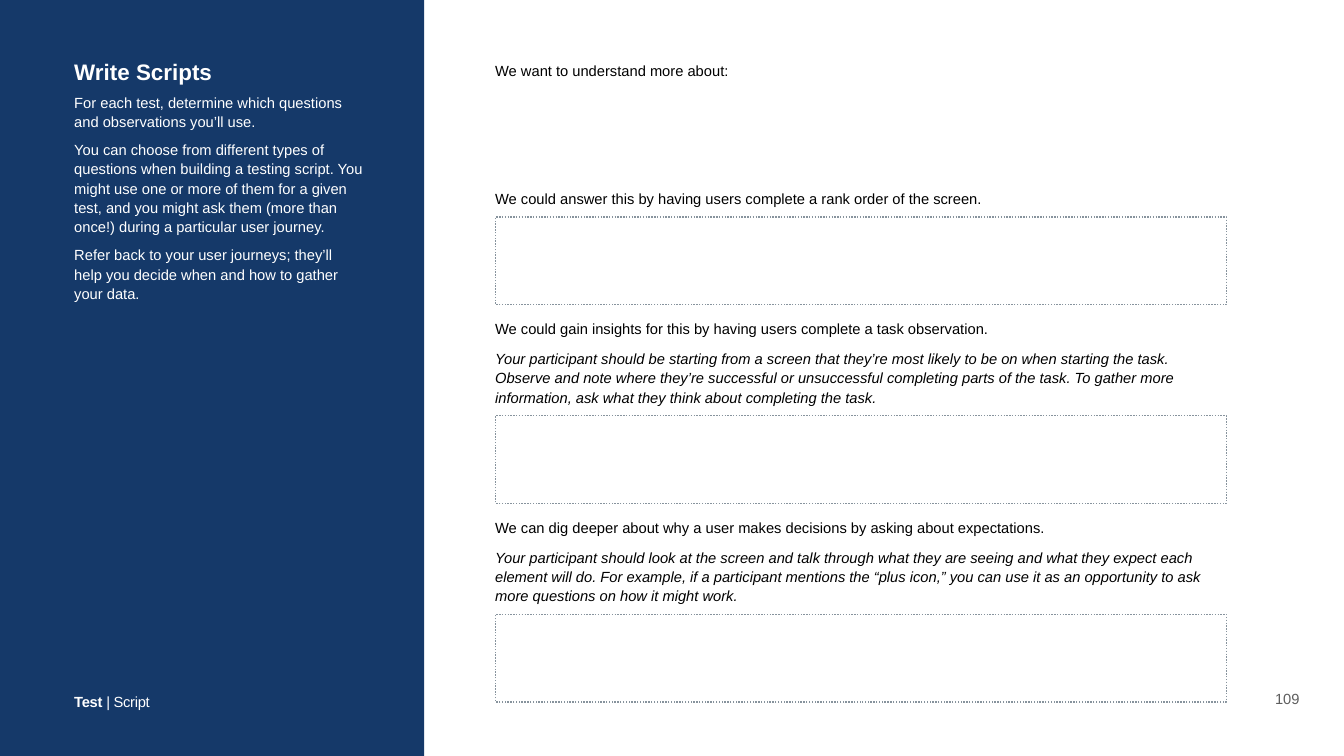
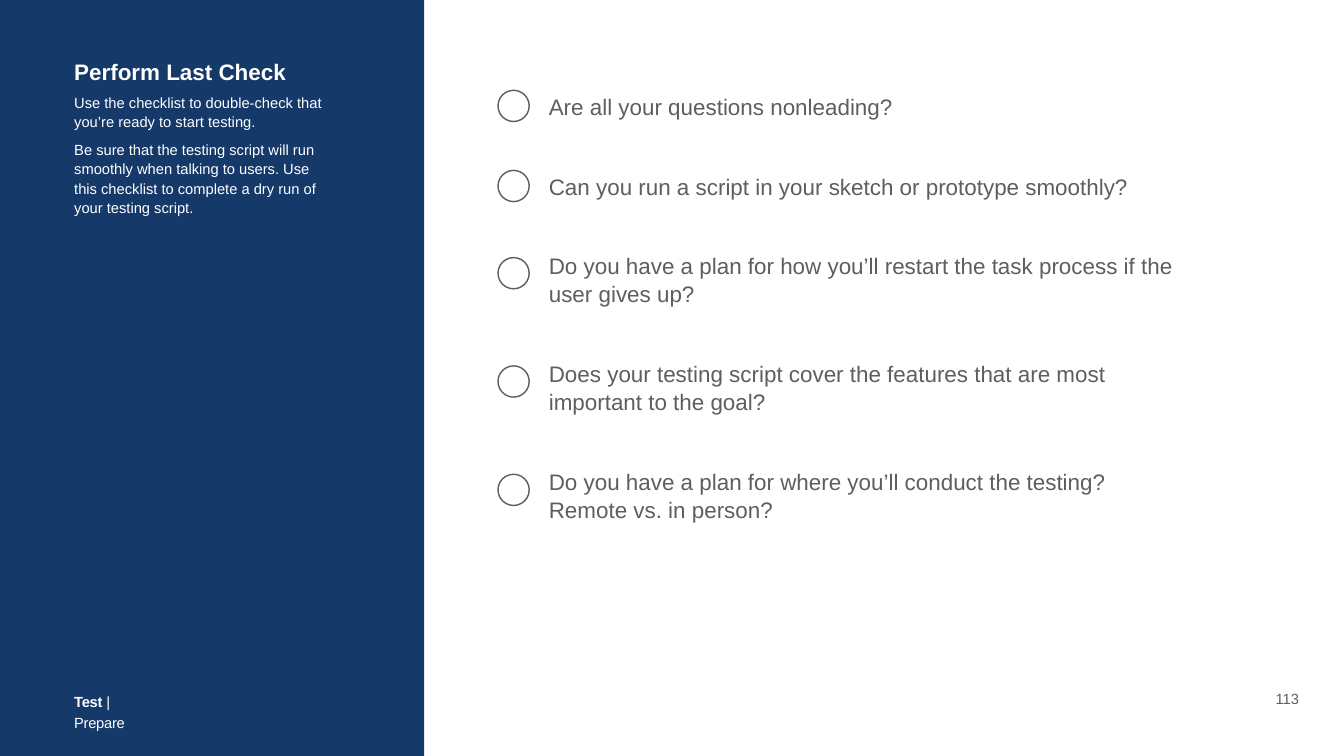
import copy

import pptx
import pptx.dml.color
import pptx.enum.dml
import pptx.enum.shapes
import pptx.enum.text
import pptx.oxml
import pptx.oxml.ns
import pptx.util

Pt = pptx.util.Pt
ANCHOR = pptx.enum.text.MSO_ANCHOR
ALIGN = pptx.enum.text.PP_ALIGN
PRESET = pptx.enum.shapes.MSO_SHAPE

NAVY, WHITE, BLACK = "153969", "FFFFFF", "000000"
GRAY, DOTTED_GRAY = "5E5E5E", "87939D"

HEADING = {"size": Pt(32), "bold": True, "italic": False}
BODY = {"size": Pt(21), "bold": False, "italic": False}
BODY_BOLD = BODY | {"bold": True}
BODY_ITALIC = BODY | {"italic": True}
CHECK = {"size": Pt(32), "bold": False, "italic": False}

ANSWER_TOP, ANSWER_STEP, PROMPT_GAP = 310.3, 283.7, 9.4

SCRIPT_INTRO = [
    "For each test, determine which questions and observations you’ll use.",
    "You can choose from different types of questions when building a testing script. "
    "You might use one or more of them for a given test, and you might ask them "
    "(more than once!) during a particular user journey.",
    "Refer back to your user journeys; they’ll help you decide when and how to gather your data.",
]
SCRIPT_PROMPTS = [
    (1012, 32.4, ["We could answer this by having users complete a rank order of the screen."]),
    (1045, 129.6, [
        "We could gain insights for this by having users complete a task observation.",
        "Your participant should be starting from a screen that they’re most likely to be on "
        "when starting the task. Observe and note where they’re successful or unsuccessful "
        "completing parts of the task. To gather more information, ask what they think about "
        "completing the task.",
    ]),
    (1045, 129.6, [
        "We can dig deeper about why a user makes decisions by asking about expectations.",
        "Your participant should look at the screen and talk through what they are seeing and "
        "what they expect each element will do. For example, if a participant mentions the "
        "“plus icon,” you can use it as an opportunity to ask more questions on how it might work.",
    ]),
]
CHECK_INTRO = [
    "Use the checklist to double-check that you’re ready to start testing.",
    "Be sure that the testing script will run smoothly when talking to users. Use \n"
    "this checklist to complete a dry run of \nyour testing script.",
]
CHECKLIST = {
    "Are all your questions nonleading?": 129,
    "Can you run a script in your sketch or prototype smoothly?": 243.4,
    "Do you have a plan for how you’ll restart the task process if the user gives up?": 368,
    "Does your testing script cover the features that are most important to the goal?": 522.7,
    "Do you have a plan for where you’ll conduct the testing? Remote vs. in person?": 677.5,
}


def rgb(hex_color):
    return pptx.dml.color.RGBColor.from_string(hex_color)


def apply_format(target, values):
    for name, value in values.items():
        setattr(target, name, value)


def place(shape, left, top, width, height):
    apply_format(shape, {"left": Pt(left), "top": Pt(top),
                         "width": Pt(width), "height": Pt(height)})


def clear_bullet(paragraph):
    properties = paragraph._p.get_or_add_pPr()
    properties.set("marL", "0")
    properties.set("indent", "0")
    properties.append(pptx.oxml.parse_xml(
        f'<a:buNone {pptx.oxml.ns.nsdecls("a")}/>'))


def add_words(paragraph, words, font_format, color, tracking):
    for index, line in enumerate(words.split("\n")):
        if index:
            paragraph.add_line_break()
        run = paragraph.add_run()
        run.text = line
        apply_format(run.font, font_format | {"name": "Arial"})
        run.font.color.rgb = rgb(color)
        if tracking:
            run.font._rPr.set("spc", str(tracking))
    for line_break in paragraph._p.findall(pptx.oxml.ns.qn("a:br")):
        line_break.append(copy.deepcopy(run.font._rPr))


def write_text(shape, paragraphs, color, line_spacing=1.1, gap=0, inset=6,
               anchor=ANCHOR.TOP, align=ALIGN.LEFT, wrap=True, tracking=0):
    frame = shape.text_frame
    apply_format(frame, {
        "auto_size": pptx.enum.text.MSO_AUTO_SIZE.NONE, "word_wrap": wrap,
        "vertical_anchor": anchor, "margin_left": Pt(inset), "margin_right": Pt(inset),
        "margin_top": Pt(inset), "margin_bottom": Pt(inset),
    })
    for index, pieces in enumerate(paragraphs):
        paragraph = frame.add_paragraph() if index else frame.paragraphs[0]
        clear_bullet(paragraph)
        apply_format(paragraph, {
            "alignment": align, "line_spacing": line_spacing,
            "space_before": Pt(gap if index else 0), "space_after": Pt(0),
        })
        for words, font_format in pieces:
            add_words(paragraph, words, font_format, color, tracking)


def add_outline(slide, preset, bounds, fill, line=None, dash=None):
    outline = slide.shapes.add_shape(preset, *map(Pt, bounds))
    outline.shadow.inherit = False
    outline.fill.solid()
    outline.fill.fore_color.rgb = rgb(fill)
    if line:
        outline.line.color.rgb = rgb(line)
        apply_format(outline.line, {"width": Pt(2), "dash_style": dash})
    else:
        outline.line.fill.background()
    return outline


def add_text_box(slide, bounds, paragraphs, color, **layout):
    box = slide.shapes.add_textbox(*map(Pt, bounds))
    write_text(box, paragraphs, color, **layout)


def add_guide_slide(presentation, heading, intro, intro_height, section, section_width, page):
    slide = presentation.slides.add_slide(presentation.slide_layouts[3])
    band = add_outline(slide, PRESET.RECTANGLE, (-1, -1, 607, 1082), NAVY)
    slide.shapes.element.insert(2, band.element)

    place(slide.shapes.title, 100, 76.3, 425, 49)
    write_text(slide.shapes.title, [[(heading, HEADING)]], WHITE, line_spacing=1.0)

    sidebar = slide.placeholders[1]
    place(sidebar, 100, 125, 425, intro_height)
    write_text(sidebar, [[(words, BODY)] for words in intro], WHITE, gap=12)

    add_text_box(slide, (100, 978, section_width, 37),
                 [[("Test", BODY_BOLD), (f" | {section}", BODY)]],
                 WHITE, line_spacing=1.2, tracking=-40)
    add_text_box(slide, (1815, 980, 48, 36), [[(page, BODY)]], GRAY, line_spacing=1.0,
                 anchor=ANCHOR.BOTTOM, align=ALIGN.CENTER, wrap=False)
    return slide


def add_prompt(slide, answer_top, width, height, statements):
    bounds = (703, answer_top - PROMPT_GAP - height, width, height)
    paragraphs = [[(words, BODY_ITALIC if index else BODY)]
                  for index, words in enumerate(statements)]
    add_text_box(slide, bounds, paragraphs, BLACK, gap=15, inset=4.3, anchor=ANCHOR.BOTTOM)
    add_outline(slide, PRESET.RECTANGLE, (708, answer_top, 1044, 125), WHITE,
                DOTTED_GRAY, pptx.enum.dml.MSO_LINE.ROUND_DOT)


def build_script_slide(presentation):
    slide = add_guide_slide(presentation, "Write Scripts", SCRIPT_INTRO, 310,
                            "Script", 122, "109")
    goal = slide.placeholders[2]
    place(goal, 703, 83.5, 1012, 32.4)
    write_text(goal, [[("We want to understand more about:", BODY)]], BLACK,
               inset=4.3, anchor=ANCHOR.MIDDLE)
    for index, prompt in enumerate(SCRIPT_PROMPTS):
        add_prompt(slide, ANSWER_TOP + index * ANSWER_STEP, *prompt)


def build_check_slide(presentation):
    slide = add_guide_slide(presentation, "Perform Last Check", CHECK_INTRO, 188,
                            "Prepare", 134, "113")
    checklist = slide.placeholders[2]
    place(checklist, 778, 126, 908, 626)
    write_text(checklist, [[(question, CHECK)] for question in CHECKLIST], GRAY,
               line_spacing=Pt(40), gap=74, anchor=ANCHOR.MIDDLE)
    for circle_top in CHECKLIST.values():
        add_outline(slide, PRESET.OVAL, (711.4, circle_top, 44.6, 44.6), WHITE, GRAY)


def main():
    presentation = pptx.Presentation()
    apply_format(presentation, {"slide_width": Pt(1920), "slide_height": Pt(1080)})
    build_script_slide(presentation)
    build_check_slide(presentation)
    presentation.save("out.pptx")


if __name__ == "__main__":
    main()
